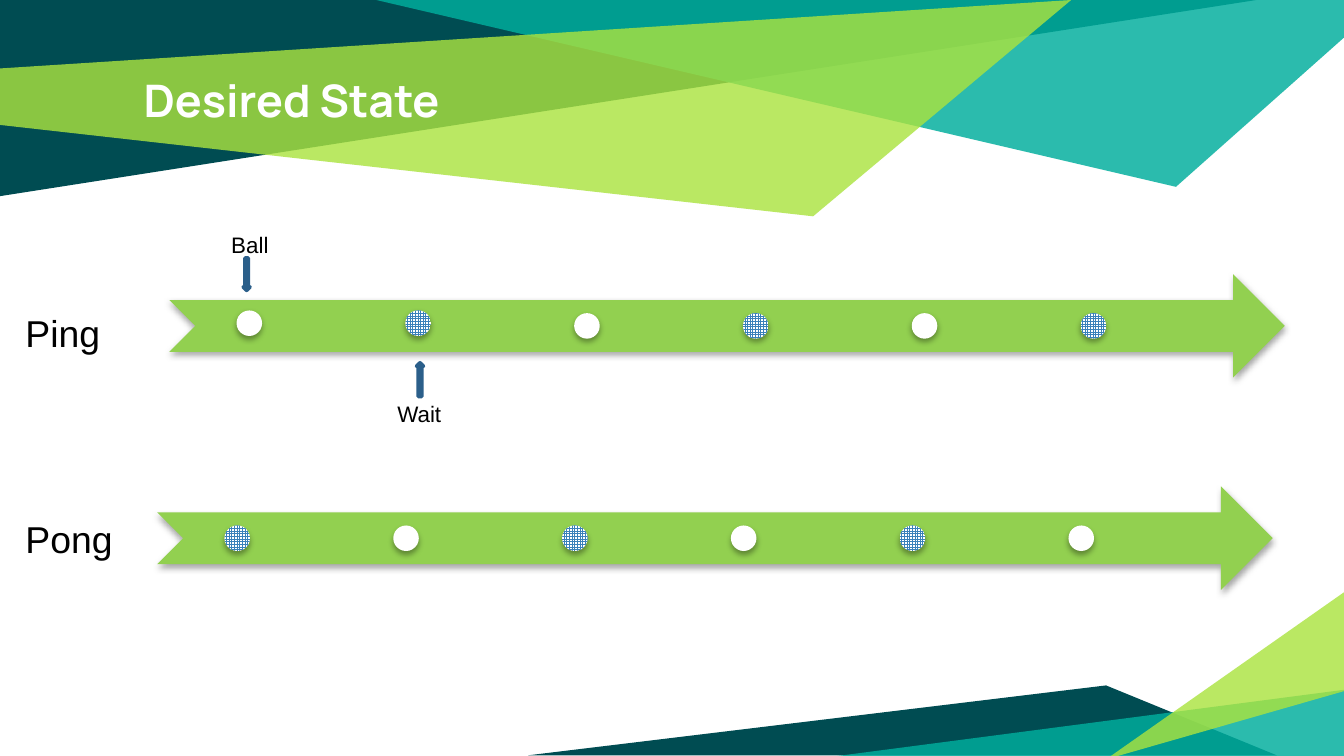
from dataclasses import dataclass
from lxml.etree import SubElement
from pptx import Presentation
from pptx.dml.color import RGBColor
from pptx.enum.dml import MSO_PATTERN
from pptx.enum.shapes import MSO_SHAPE
from pptx.enum.text import MSO_ANCHOR, PP_ALIGN
from pptx.oxml.ns import qn
from pptx.util import Inches, Pt


@dataclass(frozen=True)
class Theme:
    dark: str = "004C52"
    teal: str = "00AE9D"
    lime: str = "ABE33F"
    green: str = "92D050"
    blue: str = "3A81BA"
    edge: str = "2B5F8A"
    white: str = "FFFFFF"
    black: str = "000000"
    head: str = "Manrope"
    body: str = "Arial"
    title: int = 24
    name: int = 20
    note: int = 12


def rgb(code):
    return RGBColor.from_string(code)


class Deck:
    def __init__(self, theme, slide):
        self.theme = theme
        self.shapes = slide.shapes

    def facet(self, points, color, alpha=100):
        spots = [(Inches(x), Inches(y)) for x, y in points]
        pen = self.shapes.build_freeform(*spots[0], scale=1.0)
        pen.add_line_segments(spots[1:], close=True)
        shape = pen.convert_to_shape()
        shape.shadow.inherit = False
        shape.line.fill.background()
        shape.fill.solid()
        shape.fill.fore_color.rgb = rgb(color)
        if alpha < 100:
            tone = shape.fill._xPr.find(qn("a:solidFill"))[0]
            SubElement(tone, qn("a:alpha"), val=str(alpha * 1000))

    def text(self, words, box, size, color, font, bold=False,
             align=PP_ALIGN.LEFT, anchor=MSO_ANCHOR.TOP, side=0.1, pad=0.1, gap=1.0):
        frame = self.shapes.add_textbox(*map(Inches, box)).text_frame
        frame.word_wrap = True
        frame.vertical_anchor = anchor
        frame.margin_left = frame.margin_right = Inches(side)
        frame.margin_top = frame.margin_bottom = Inches(pad)
        para = frame.paragraphs[0]
        para.alignment = align
        para.line_spacing = gap
        run = para.add_run()
        run.text = words
        run.font.size = Pt(size)
        run.font.name = font
        run.font.bold = bold
        run.font.color.rgb = rgb(color)

    def note(self, words, box, anchor):
        look = self.theme
        self.text(words, box, look.note, look.black, look.body,
                  align=PP_ALIGN.CENTER, anchor=anchor, side=0.09, pad=0.09, gap=0.9)

    def name(self, words, top):
        look = self.theme
        self.text(words, (0.09, top, 0.88, 0.44), look.name, look.black,
                  look.body, pad=0.05)

    def solid(self, kind, box, color):
        shape = self.shapes.add_shape(kind, *map(Inches, box))
        shape.shadow.inherit = False
        shape.fill.solid()
        shape.fill.fore_color.rgb = rgb(color)
        shape.line.fill.background()
        return shape

    def shade(self, shape):
        glow = SubElement(
            shape.element.spPr.find(qn("a:effectLst")), qn("a:outerShdw"),
            blurRad=str(Pt(3.1)), dist=str(Pt(1.8)), dir="5400000", rotWithShape="0")
        tone = SubElement(glow, qn("a:srgbClr"), val=self.theme.black)
        SubElement(tone, qn("a:alpha"), val="35000")

    def ball(self, left, top, wait):
        shape = self.solid(MSO_SHAPE.OVAL, (left, top, 0.19, 0.19), self.theme.white)
        if wait:
            shape.fill.patterned()
            shape.fill.pattern = MSO_PATTERN.SMALL_GRID
            shape.fill.fore_color.rgb = rgb(self.theme.blue)
            shape.fill.back_color.rgb = rgb(self.theme.white)
        self.shade(shape)

    def track(self, left, top, first, lifts):
        arrow = self.solid(MSO_SHAPE.NOTCHED_RIGHT_ARROW,
                           (left, top, 8.3, 0.77), self.theme.green)
        self.shade(arrow)
        for i, lift in enumerate(lifts):
            self.ball(left + 0.5 + 6.28 * i / 5, top + 0.29 - lift, (i + first) % 2)

    def mark(self, left, top, high, turn=0):
        shape = self.solid(MSO_SHAPE.DOWN_ARROW, (left, top, 0.05, high), self.theme.green)
        shape.line.color.rgb = rgb(self.theme.edge)
        shape.line.width = Pt(2)
        SubElement(shape.line._ln, qn("a:round"))
        shape.rotation = turn


def main():
    prs = Presentation()
    prs.slide_width = Inches(10)
    prs.slide_height = Inches(10) * 9 // 16
    look = Theme()
    deck = Deck(look, prs.slides.add_slide(prs.slide_layouts[6]))

    deck.facet([(0, 0), (0, 1.46), (9.35, 0)], look.dark)
    deck.facet([(2.8, 0), (8.75, 1.39), (10, 0.28), (10, 0)], look.teal, 83)
    deck.facet([(-0.01, 0.51), (0, 0.93), (6.05, 1.61), (7.97, 0)], look.lime, 81)
    deck.facet([(3.93, 5.62), (9.5, 5.62), (8.23, 5.1)], look.dark)
    deck.facet([(10.02, 5.13), (10.02, 5.65), (6.04, 5.65)], look.teal, 83)
    deck.facet([(10.01, 5.14), (10.01, 4.4), (8.23, 5.65)], look.lime, 81)

    deck.text("Desired State", (0.97, 0.44, 8.06, 0.94), look.title,
              look.white, look.head, bold=True)

    deck.track(1.26, 2.04, 0, [0.02, 0.02, 0, 0, 0, 0])
    deck.note("Ball", (1.26, 1.53, 1.2, 0.48), MSO_ANCHOR.BOTTOM)
    deck.note("Wait", (2.52, 2.91, 1.2, 0.39), MSO_ANCHOR.TOP)
    deck.track(1.17, 3.62, 1, [0] * 6)

    deck.name("Ping", 2.26)
    deck.name("Pong", 3.79)
    deck.mark(1.81, 1.92, 0.24)
    deck.mark(3.1, 2.7, 0.25, 180)
    prs.save("out.pptx")


if __name__ == "__main__":
    main()
